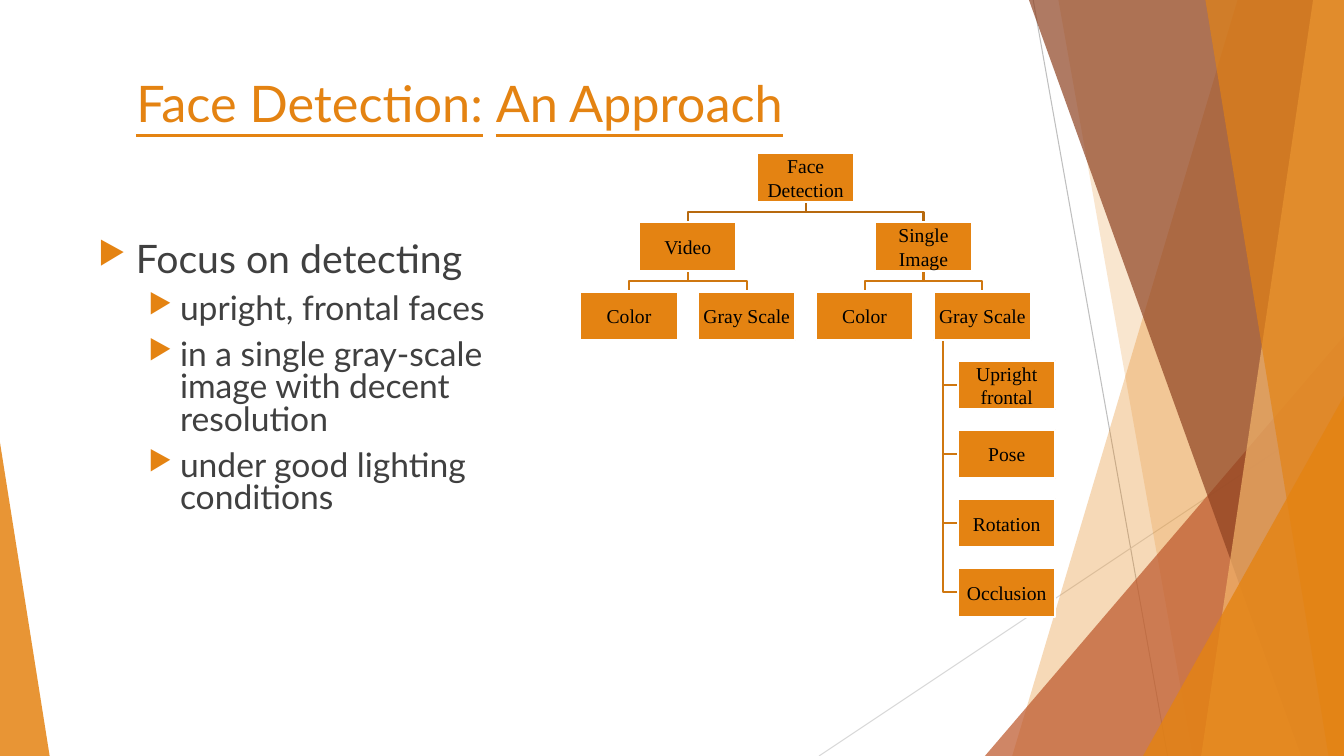
from lxml import etree
from pptx import Presentation
from pptx.dml.color import RGBColor
from pptx.enum.shapes import MSO_CONNECTOR as CONN, MSO_SHAPE as SHAPE
from pptx.enum.text import MSO_ANCHOR as ANCHOR, PP_ALIGN as ALIGN
from pptx.oxml.ns import qn
from pptx.util import Pt

COLORS = {
    "orange": "E48312", "rust": "BD582C", "brown": "8E4221", "peach": "F3B56C",
    "branch": "CF7710", "trunk": "B7690E", "gray": "BFBFBF", "pale": "D9D9D9",
    "body": "404040", "black": "000000", "white": "FFFFFF",
}
W, H = 960, 540

# Facets: top left, bottom left, colour, opacity; all reach the right edge.
FACETS_BACK = [(884, 723, "orange", 30), (756, 852, "orange", 20)]
FACETS_FRONT = [(735, 929.5, "brown", 70), (938, 858, "peach", 70), (861, 949, "orange", 65)]

# Nodes: text, column, row, index of the parent
NODES = [
    ("Face Detection", 1.5, 0, None),
    ("Video", 0.5, 1, 0),
    ("Single Image", 2.5, 1, 0),
    ("Color", 0, 2, 1),
    ("Gray Scale", 1, 2, 1),
    ("Color", 2, 2, 2),
    ("Gray Scale", 3, 2, 2),
]
LEAVES = ["Upright frontal", "Pose", "Rotation", "Occlusion"]

POINTS = [
    ("Focus on detecting", 0),
    ("upright, frontal faces", 1),
    ("in a single gray-scale image with decent resolution", 1),
    ("under good lighting conditions", 1),
]


def rgb(name):
    return RGBColor.from_string(COLORS[name])


def add_text(p, text, size, color, font="Lato", underline=None):
    r = p.add_run()
    r.text = text
    f = r.font
    f.name, f.size, f.underline = font, Pt(size), underline
    f.color.rgb = rgb(color)


def fill_shape(sp, color, opacity=100):
    sp.shadow.inherit = False
    sp.line.fill.background()
    sp.fill.solid()
    sp.fill.fore_color.rgb = rgb(color)
    if opacity < 100:
        clr = sp.fill._xPr.find(".//" + qn("a:srgbClr"))
        etree.SubElement(clr, qn("a:alpha"), val=str(opacity * 1000))


def add_path(slide, points, close):
    start, *rest = [(Pt(x), Pt(y)) for x, y in points]
    builder = slide.shapes.build_freeform(*start)
    builder.add_line_segments(rest, close=close)
    return builder.convert_to_shape()


def add_facets(slide, facets):
    for top_x, bottom_x, color, opacity in facets:
        corners = [(top_x, 0), (W, 0), (W, H), (bottom_x, H)]
        fill_shape(add_path(slide, corners, True), color, opacity)


def add_triangle(slide, x, y, w, peak, color, opacity):
    """Add a triangle standing on the slide's bottom edge."""
    sp = slide.shapes.add_shape(SHAPE.ISOSCELES_TRIANGLE, Pt(x), Pt(y), Pt(w), Pt(H - y))
    sp.adjustments[0] = peak
    fill_shape(sp, color, opacity)


def add_backdrop(slide):
    for x1, y1, x2, y2, color in [(738, 0, 834, H, "gray"), (W, 290, 585, H, "pale")]:
        line = slide.shapes.add_connector(CONN.STRAIGHT, Pt(x1), Pt(y1), Pt(x2), Pt(y2))
        line.line.color.rgb = rgb(color)
        line.line.width = Pt(0.75)
        etree.SubElement(line._element.spPr, qn("a:effectLst"))
    add_facets(slide, FACETS_BACK)
    add_triangle(slide, 703.5, 240, 256.5, 1, "rust", 72)
    add_facets(slide, FACETS_FRONT)
    add_triangle(slide, 816.5, 283, 143.5, 1, "orange", 80)
    add_triangle(slide, 0, 316, 35.5, 0, "orange", 85)


def add_title(slide, x, y, w, h):
    title = slide.shapes.title
    title.left, title.top, title.width, title.height = Pt(x), Pt(y), Pt(w), Pt(h)
    tf = title.text_frame
    tf.vertical_anchor = ANCHOR.TOP
    tf.margin_left = Pt(44)
    p = tf.paragraphs[0]
    p.alignment = ALIGN.LEFT
    for text, underline in [("Face Detection:", True), (" ", False), ("An Approach", True)]:
        add_text(p, text, 36, "orange", underline=underline)


def add_bullet(p, indent, hang):
    pPr = p._p.get_or_add_pPr()
    pPr.set("marL", str(Pt(indent)))
    pPr.set("indent", str(-Pt(hang)))
    clr = etree.SubElement(pPr, qn("a:buClr"))
    etree.SubElement(clr, qn("a:srgbClr"), val=COLORS["orange"])
    etree.SubElement(pPr, qn("a:buSzPct"), val="80000")
    etree.SubElement(pPr, qn("a:buChar"), char="▶")


def add_points(slide, x, y, w, h):
    tf = slide.shapes.add_textbox(Pt(x), Pt(y), Pt(w), Pt(h)).text_frame
    tf.word_wrap = True
    for i, (text, level) in enumerate(POINTS):
        p = tf.add_paragraph() if i else tf.paragraphs[0]
        p.level = level
        p.line_spacing = 0.8
        p.space_before = Pt(10)
        add_bullet(p, *[(27, 27), (58.5, 22.5)][level])
        add_text(p, text, [28, 24][level], "body")


def add_branch(slide, points, color):
    sp = add_path(slide, points, False)
    sp.shadow.inherit = False
    sp.fill.background()
    sp.line.color.rgb = rgb(color)
    sp.line.width = Pt(1.5)


def add_node(slide, text, x, y, w, h):
    sp = slide.shapes.add_shape(SHAPE.RECTANGLE, Pt(x), Pt(y), Pt(w), Pt(h))
    fill_shape(sp, "orange")
    sp.line.color.rgb = rgb("white")
    sp.line.width = Pt(1.5)
    tf = sp.text_frame
    tf.word_wrap = True
    tf.vertical_anchor = ANCHOR.MIDDLE
    tf.margin_left = tf.margin_right = tf.margin_top = tf.margin_bottom = Pt(0.7)
    p = tf.paragraphs[0]
    p.alignment = ALIGN.CENTER
    add_text(p, text, 14, "black", font="Times New Roman")


def add_tree(slide, x, y, w, h):
    """Fit the tree to a box four columns wide and seven rows high."""
    node_w = w / 4.63
    node_h = node_w / 2
    col_step, row_step = node_w * 1.21, (h - node_h) / 6
    gap = row_step - node_h
    spots = [(x + col * col_step, y + row * row_step) for _, col, row, _ in NODES]
    last_x, last_y = spots[-1]
    leaf_x, spine_x = last_x + node_w / 4, last_x + node_w / 10
    leaf_spots = [(leaf_x, last_y + (i + 1) * row_step) for i in range(len(LEAVES))]

    for _, leaf_y in leaf_spots:
        mid = leaf_y + node_h / 2
        add_branch(slide, [(spine_x, last_y + node_h), (spine_x, mid), (leaf_x, mid)], "branch")
    for (_, _, _, parent), (left, top) in zip(NODES, spots):
        if parent is None:
            continue
        start, end = spots[parent][0] + node_w / 2, left + node_w / 2
        bend = top - gap / 2
        add_branch(slide, [(start, top - gap), (start, bend), (end, bend), (end, top)],
                   "branch" if parent else "trunk")
    texts = [node[0] for node in NODES] + LEAVES
    for text, (left, top) in zip(texts, spots + leaf_spots):
        add_node(slide, text, left, top, node_w, node_h)


def main():
    prs = Presentation()
    prs.slide_width, prs.slide_height = Pt(W), Pt(H)
    slide = prs.slides.add_slide(prs.slide_layouts[5])
    add_backdrop(slide)
    add_title(slide, 53.5, 48, 677, 104)
    add_points(slide, 63, 170, 297, 305)
    add_tree(slide, 414.5, 109.5, 322, 331)
    prs.save("out.pptx")


if __name__ == "__main__":
    main()
